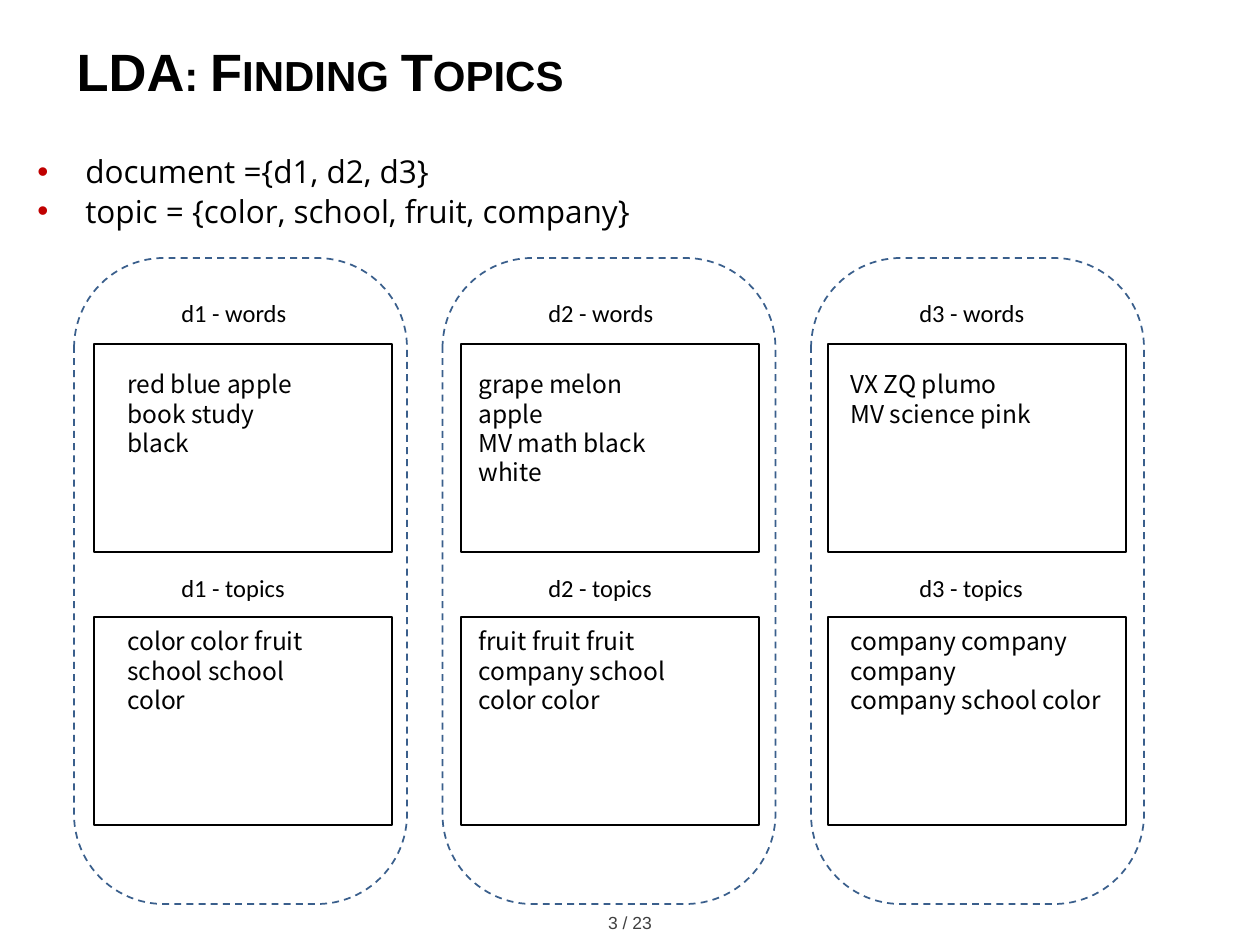
from lxml.etree import SubElement
from pptx import Presentation
from pptx.dml.color import RGBColor
from pptx.enum.dml import MSO_LINE
from pptx.enum.shapes import MSO_SHAPE
from pptx.enum.text import MSO_ANCHOR, MSO_AUTO_SIZE, PP_ALIGN
from pptx.oxml.ns import qn
from pptx.util import Pt

PX = 914400 / 126
BLACK = RGBColor(0, 0, 0)
GRAY = RGBColor(0x40, 0x40, 0x40)
RED = RGBColor(0xC0, 0, 0)
BLUE = RGBColor(0x3A, 0x5F, 0x8C)

TITLE = "LDA: Finding Topics"
BULLETS = ["document ={d1, d2, d3}", "topic = {color, school, fruit, company}"]
PAGE_NUMBER = "3 / 23"
DOCUMENTS = [
    {"name": "d1", "label_left": 169, "text_left": 115,
     "words": (208, ["red blue apple", "book study black"]),
     "topics": (208, ["color color fruit", "school school color"])},
    {"name": "d2", "label_left": 536, "text_left": 466,
     "words": (236, ["grape melon apple", "MV math black white"]),
     "topics": (238, ["fruit fruit fruit", "company school color color"])},
    {"name": "d3", "label_left": 907, "text_left": 838,
     "words": (238, ["VX ZQ plumo", "MV science pink"]),
     "topics": (287, ["company company", "company", "company school color"])},
]
ROWS = [
    {"kind": "words", "label_top": 292, "frame_top": 344, "text_top": 363},
    {"kind": "topics", "label_top": 567, "frame_top": 617, "text_top": 620},
]
FRAME_LEFT, FRAME_STEP, FRAME_WIDTH, FRAME_HEIGHT = 94, 367, 298, 208
OUTLINE_LEFT, OUTLINE_STEP = 74, 368.5


def px(*lengths):
    return [round(length * PX) for length in lengths]


def style(paragraph, font_name, size, color):
    for span in paragraph.runs:
        span.font.name = font_name
        span.font.size = Pt(size)
        span.font.color.rgb = color


def add_text(page, place, lines, font_name, size, color=BLACK):
    box = page.shapes.add_textbox(*px(*place))
    frame = box.text_frame
    frame.word_wrap = True
    frame.text = "\n".join(lines)
    for paragraph in frame.paragraphs:
        style(paragraph, font_name, size, color)
    return frame


def add_outline(page, kind, place, color, width):
    shape = page.shapes.add_shape(kind, *px(*place))
    shape.shadow.inherit = False
    shape.fill.background()
    shape.line.color.rgb = color
    shape.line.width = Pt(width)
    return shape


def add_bullet(paragraph):
    properties = paragraph._p.get_or_add_pPr()
    indent = px(48)[0]
    properties.set("marL", str(indent))
    properties.set("indent", str(-indent))
    color = SubElement(properties, qn("a:buClr"))
    SubElement(color, qn("a:srgbClr")).set("val", str(RED))
    SubElement(properties, qn("a:buFont")).set("typeface", "Arial")
    SubElement(properties, qn("a:buChar")).set("char", "•")


def add_title(page):
    title = page.shapes.title
    title.left, title.top, title.width, title.height = px(64, 16, 1171, 110)
    frame = title.text_frame
    frame.text = TITLE
    frame.auto_size = MSO_AUTO_SIZE.NONE
    frame.vertical_anchor = MSO_ANCHOR.MIDDLE
    paragraph = frame.paragraphs[0]
    paragraph.alignment = PP_ALIGN.LEFT
    style(paragraph, "Arial", 30, BLACK)
    span = paragraph.runs[0]
    span.font.bold = True
    span.font._element.set("cap", "small")


def add_document(page, index, document):
    for row in ROWS:
        kind = row["kind"]
        width, lines = document[kind]
        frame = add_text(page, (document["text_left"], row["text_top"], width, 102),
                         lines, "Noto Sans CJK KR", 14)
        for paragraph in frame.paragraphs:
            paragraph.line_spacing = Pt(16.8)
        add_outline(page, MSO_SHAPE.RECTANGLE,
                    (FRAME_LEFT + index * FRAME_STEP, row["frame_top"],
                     FRAME_WIDTH, FRAME_HEIGHT), BLACK, 1.25)
        add_text(page, (document["label_left"], row["label_top"], 149, 43),
                 [f"{document['name']} - {kind}"], "Calibri", 14)
    outline = add_outline(page, MSO_SHAPE.ROUNDED_RECTANGLE,
                          (OUTLINE_LEFT + index * OUTLINE_STEP, 258, 333, 646), BLUE, 1)
    outline.adjustments[0] = 0.27
    outline.line.dash_style = MSO_LINE.DASH


def main():
    deck = Presentation()
    deck.slide_width, deck.slide_height = px(1260, 945)
    page = deck.slides.add_slide(deck.slide_layouts[5])
    add_title(page)

    footer = add_text(page, (0, 906, 1260, 34), [PAGE_NUMBER], "Arial", 10, GRAY)
    footer.paragraphs[0].alignment = PP_ALIGN.CENTER

    body = add_text(page, (25, 146, 1211, 752), BULLETS, "Open Sans", 18)
    for paragraph in body.paragraphs:
        add_bullet(paragraph)
    body.paragraphs[1].space_before = Pt(1)

    for index, document in enumerate(DOCUMENTS):
        add_document(page, index, document)
    deck.save("out.pptx")


if __name__ == "__main__":
    main()
